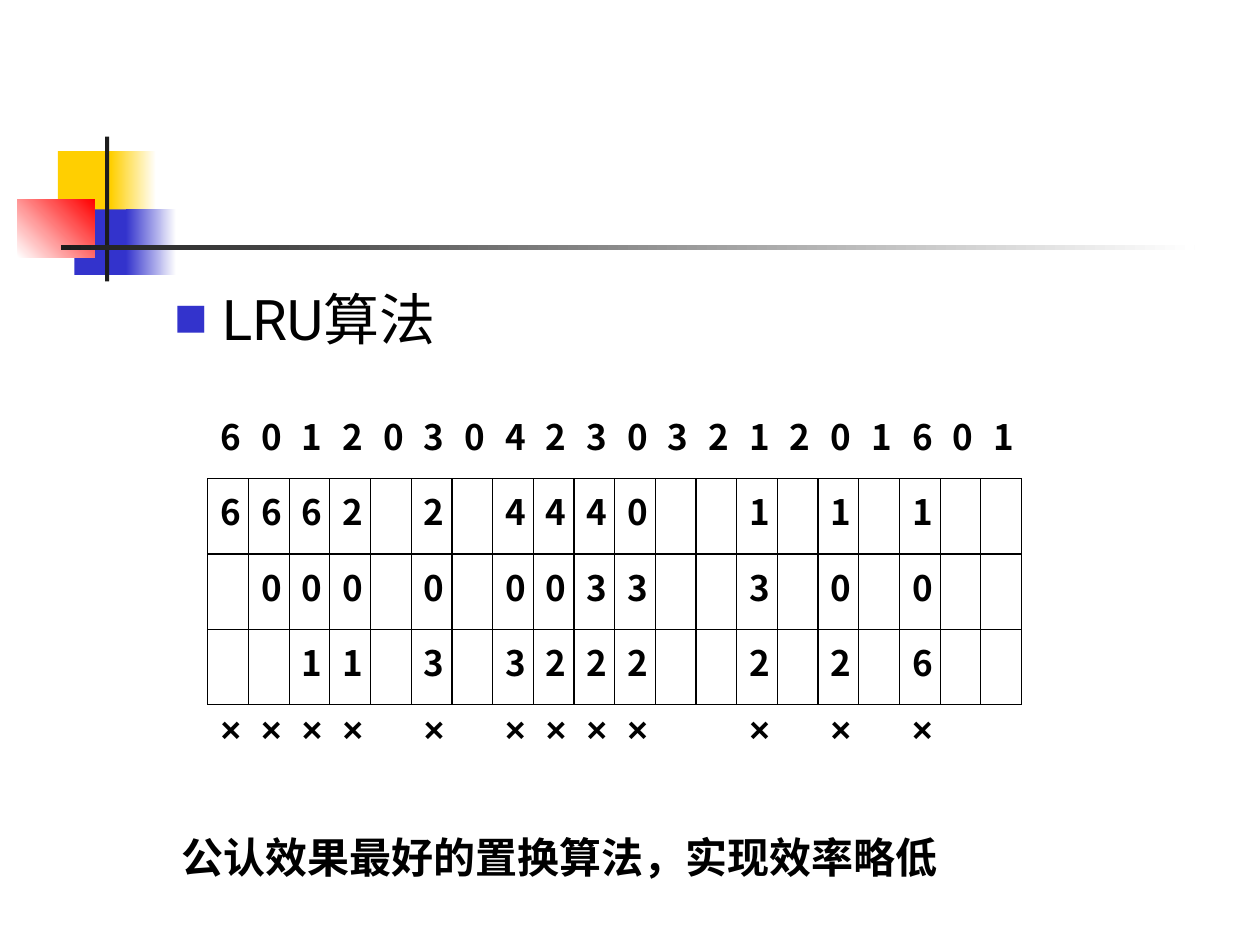
"""Build a slide tracing page frames under the LRU replacement algorithm."""
from lxml.etree import SubElement
from pptx import Presentation
from pptx.dml.color import RGBColor
from pptx.enum.shapes import MSO_SHAPE as SHAPE
from pptx.enum.text import MSO_ANCHOR as ANCHOR
from pptx.oxml.ns import qn
from pptx.util import Pt

YELLOW = RGBColor(0xFF, 0xCF, 0x01)
BLUE = RGBColor(0x33, 0x33, 0xCC)
RED = RGBColor(0xFF, 0x00, 0x00)
DARK = RGBColor(0x1C, 0x1C, 0x1C)
WHITE = RGBColor(0xFF, 0xFF, 0xFF)
BLACK = RGBColor(0x00, 0x00, 0x00)
CJK = "Noto Sans CJK SC"


def add_run(p, text, color=BLACK, **formats):
    r = p.add_run()
    r.text = text
    for name, value in formats.items():
        setattr(r.font, name, value)
    r.font.color.rgb = color
    SubElement(r.font._element, qn("a:ea"), typeface=CJK)


def add_border(cell, side, visible):
    ln = SubElement(cell._tc.get_or_add_tcPr(), qn(f"a:ln{side}"), w=str(Pt(0.75)))
    if visible:
        fill = SubElement(ln, qn("a:solidFill"))
        SubElement(fill, qn("a:srgbClr"), val=str(BLACK))
    else:
        SubElement(ln, qn("a:noFill"))


prs = Presentation()
prs.slide_width, prs.slide_height = Pt(720), Pt(540)
s = prs.slides.add_slide(prs.slide_layouts[6])

ornaments = [
    ((33.12, 86.4, 34.56, 37.44), [YELLOW], 0),
    ((63.36, 86.4, 25.92, 37.44), [YELLOW, WHITE], 0),
    ((42.48, 119.7, 33.12, 37.44), [BLUE], 0),
    ((72, 119.7, 28.8, 37.44), [BLUE, WHITE], 0),
    ((10.08, 113.76, 43.92, 33.4), [WHITE, RED], 45),
    ((60, 78, 2.4, 82.8), [DARK], 0),
    ((34.7, 140.2, 648, 2.4), [DARK, WHITE], 0),
]
for box, colors, angle in ornaments:
    sp = s.shapes.add_shape(SHAPE.RECTANGLE, *map(Pt, box))
    sp.shadow.inherit = False
    sp.line.fill.background()
    if len(colors) == 1:
        sp.fill.solid()
        sp.fill.fore_color.rgb = colors[0]
    else:
        sp.fill.gradient()
        sp.fill.gradient_angle = angle
        for stop, color in zip(sp.fill.gradient_stops, colors):
            stop.color.rgb = color

tf = s.shapes.add_textbox(Pt(92.9), Pt(159.1), Pt(589.7), Pt(324)).text_frame
tf.word_wrap = True
p = tf.paragraphs[0]
pPr = p._p.get_or_add_pPr()
pPr.set("marL", str(Pt(27)))
pPr.set("indent", str(Pt(-27)))
SubElement(SubElement(pPr, qn("a:buClr")), qn("a:srgbClr"), val=str(BLUE))
SubElement(pPr, qn("a:buSzPct"), val="60000")
SubElement(pPr, qn("a:buFont"), typeface=CJK)
SubElement(pPr, qn("a:buChar"), char="■")
add_run(p, "LRU算法", size=Pt(32), name="Roboto")

references = "60120304230321201601"
frames = [
    "6662 2 4440  1 1 1  ",
    " 000 0 0033  3 0 0  ",
    "  11 3 3222  2 2 6  ",
]
faults = "".join(" " if page == " " else "×" for page in frames[0])
rows = [references, *frames, faults]
visible_sides = ["B", "LRTB", "LRTB", "LRTB", "T"]

table = s.shapes.add_table(
    len(rows), len(references), Pt(118.8), Pt(230.4), Pt(465.2), Pt(215.5)).table
for flag in ("first_row", "horz_banding"):
    setattr(table, flag, False)
for column in table.columns:
    column.width = Pt(23.26)
for i, (row, sides) in enumerate(zip(rows, visible_sides)):
    table.rows[i].height = Pt(43.1)
    font = "Arial" if row is faults else CJK
    for j, text in enumerate(row):
        cell = table.cell(i, j)
        cell.vertical_anchor = ANCHOR.TOP
        for side in "LRTB":
            add_border(cell, side, side in sides)
        cell.fill.background()
        if text != " ":
            add_run(cell.text_frame.paragraphs[0], text,
                    size=Pt(20), bold=True, name=font)

tf = s.shapes.add_textbox(Pt(96.5), Pt(471.6), Pt(513.4), Pt(36)).text_frame
tf.word_wrap = True
add_run(tf.paragraphs[0], "公认效果最好的置换算法，实现效率略低",
        size=Pt(24), bold=True, name="Roboto")

prs.save("out.pptx")
